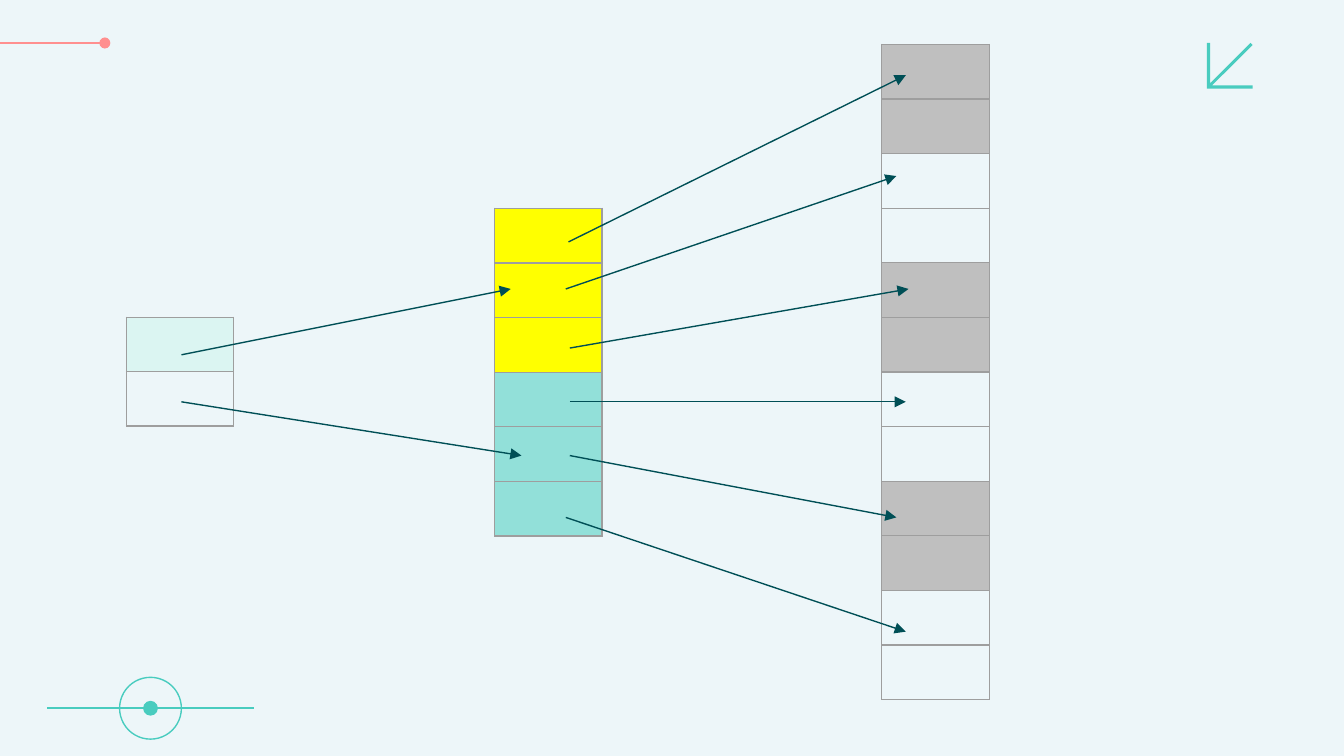
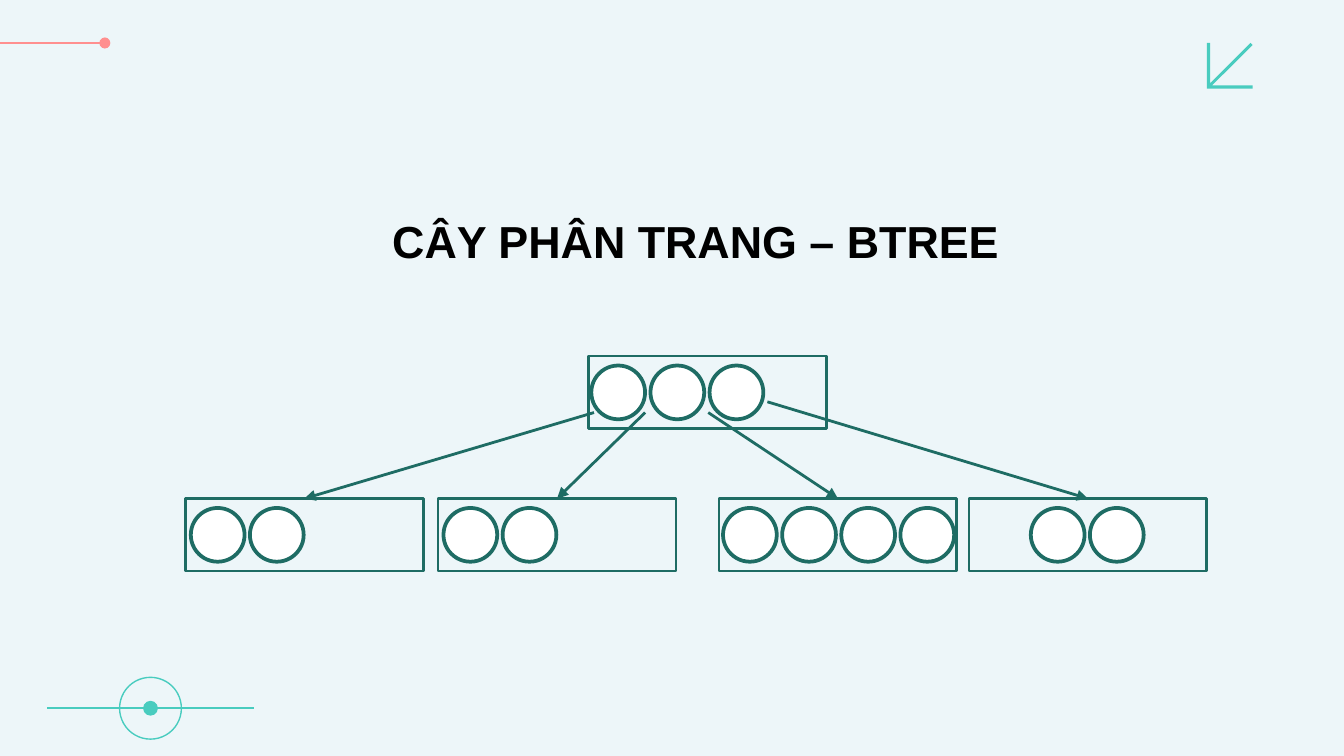
import lxml.etree
import pptx
import pptx.dml.color
import pptx.enum.shapes
import pptx.enum.text
import pptx.oxml.ns
import pptx.util

Inches = pptx.util.Inches
Pt = pptx.util.Pt
SHAPE = pptx.enum.shapes.MSO_SHAPE
STRAIGHT = pptx.enum.shapes.MSO_CONNECTOR.STRAIGHT
qn = pptx.oxml.ns.qn

BACKGROUND = "EDF6F9"
MINT = "49CCBF"
CORAL = "FF8F8F"
GRID = "9E9E9E"
LINK = "004F56"
TREE = "1E6C64"
YELLOW = "FFFF00"
TEAL = "92E0D9"
GREY = "BFBFBF"
PALE = "DBF5F2"
FONT = "Arial"


def rgb(value):
    """Turn a hex string into a colour."""
    return pptx.dml.color.RGBColor.from_string(value)


def paint(shape, fill=None, line=None, width=1):
    """Set the fill and outline of a shape and remove its shadow."""
    shape.shadow.inherit = False
    if fill:
        shape.fill.solid()
        shape.fill.fore_color.rgb = rgb(fill)
    else:
        shape.fill.background()
    if line:
        shape.line.color.rgb = rgb(line)
        shape.line.width = Pt(width)
    else:
        shape.line.fill.background()


def add_shape(shapes, kind, box, fill=None, line=None, width=1):
    """Add a painted preset shape in a box given in inches."""
    sp = shapes.add_shape(kind, *map(Inches, box))
    paint(sp, fill, line, width)
    return sp


def add_line(shapes, start, end, color, width, tip=None):
    """Add a straight connector with an optional end mark."""
    cx = shapes.add_connector(STRAIGHT, *map(Inches, (*start, *end)))
    cx.line.color.rgb = rgb(color)
    cx.line.width = Pt(width)
    if tip:
        ln = cx.line._get_or_add_ln()
        lxml.etree.SubElement(ln, qn("a:tailEnd"), type=tip)
    lxml.etree.SubElement(cx._element.spPr, qn("a:effectLst"))
    return cx


def add_crosshair(s, x, y):
    """Draw the ringed dot on a line, centred on a point."""
    add_line(s.shapes, (x - 0.77, y), (x + 0.77, y), MINT, 0.9)
    for radius, fill in ((0.23, None), (0.05, MINT)):
        box = (x - radius, y - radius, 2 * radius, 2 * radius)
        add_shape(s.shapes, SHAPE.OVAL, box, fill, MINT, 0.75)


def add_corner_arrow(s, x, y):
    """Draw the arrow that points to the lower left."""
    points = [(0, 0), (5, 0), (5, 60), (65, 0), (68, 3),
              (8, 63), (68, 63), (68, 68), (0, 68)]
    builder = s.shapes.build_freeform(*points[0], scale=Inches(0.01) / 2)
    builder.add_line_segments(points[1:], close=True)
    paint(builder.convert_to_shape(Inches(x), Inches(y)), MINT)


def add_decor(s):
    """Add the ornaments that every slide carries."""
    add_crosshair(s, 1.12, 5.27)
    add_line(s.shapes, (0, 0.32), (0.78, 0.32), CORAL, 1.5, "oval")
    add_corner_arrow(s, 8.98, 0.32)


def add_borders(cell):
    """Draw a thin border on all four sides of a cell."""
    tcPr = cell._tc.get_or_add_tcPr()
    for i, side in enumerate(("lnL", "lnR", "lnT", "lnB")):
        ln = lxml.etree.Element(qn("a:" + side), w=str(Pt(0.75)))
        fill = lxml.etree.SubElement(ln, qn("a:solidFill"))
        lxml.etree.SubElement(fill, qn("a:srgbClr"), val=GRID)
        tcPr.insert(i, ln)


def add_stack(s, box, fills):
    """Add a one-column table with one cell per fill."""
    table = s.shapes.add_table(len(fills), 1, *map(Inches, box)).table
    table.first_row = table.horz_banding = False
    for i, fill in enumerate(fills):
        cell = table.cell(i, 0)
        cell.margin_top = cell.margin_bottom = 0
        if fill:
            cell.fill.solid()
            cell.fill.fore_color.rgb = rgb(fill)
        else:
            cell.fill.background()
        add_borders(cell)


def add_page_tables(s):
    """Build three levels of tables and the arrows between them."""
    add_stack(s, (3.68, 1.55, 0.8, 2.44), [YELLOW] * 3 + [TEAL] * 3)
    add_stack(s, (6.56, 0.33, 0.8, 4.88), [GREY, GREY, None, None] * 3)
    add_stack(s, (0.94, 2.36, 0.8, 0.81), [PALE, None])
    links = [
        ((1.35, 2.64), (3.8, 2.15)),
        ((1.35, 2.99), (3.88, 3.39)),
        ((4.23, 1.8), (6.74, 0.56)),
        ((4.21, 2.15), (6.67, 1.31)),
        ((4.24, 2.59), (6.76, 2.15)),
        ((4.24, 2.99), (6.74, 2.99)),
        ((4.24, 3.39), (6.67, 3.85)),
        ((4.21, 3.85), (6.74, 4.7)),
    ]
    for start, end in links:
        add_line(s.shapes, start, end, LINK, 0.75, "triangle")


def add_node(shapes, x, y, keys, indent):
    """Add a tree node with a row of round keys and return its rectangle."""
    node = add_shape(shapes, SHAPE.RECTANGLE, (x, y, 1.77, 0.54),
                     BACKGROUND, TREE, 1.5)
    for i in range(keys):
        box = (x + indent + 0.44 * i, y + 0.07, 0.4, 0.4)
        add_shape(shapes, SHAPE.OVAL, box, "FFFFFF", TREE, 2)
    return node


def add_tree(s, x, y):
    """Build the root, its four leaves and the arrows, from the top left."""
    shapes = s.shapes.add_group_shape().shapes
    add_node(shapes, x + 3, y, 3, 0.02)
    leaves = [
        (0, 2, 0.04, (3.04, 0.42)),
        (1.88, 2, 0.04, (3.42, 0.42)),
        (3.97, 4, 0.03, (3.89, 0.42)),
        (5.83, 2, 0.46, (4.33, 0.34)),
    ]
    for left, keys, indent, (dx, dy) in leaves:
        leaf = add_node(shapes, x + left, y + 1.06, keys, indent)
        cx = add_line(shapes, (x + dx, y + dy), (x + left + 0.88, y + 1.06),
                      TREE, 1.5, "triangle")
        cx.end_connect(leaf, 0)


def add_title(s, box, text):
    """Add the bold title line."""
    tf = s.shapes.add_textbox(*map(Inches, box)).text_frame
    tf.word_wrap = False
    tf.auto_size = pptx.enum.text.MSO_AUTO_SIZE.SHAPE_TO_FIT_TEXT
    tf.text = text
    r = tf.paragraphs[0].runs[0]
    r.font.name = FONT
    r.font.size = Pt(24)
    r.font.bold = True
    r.font.color.rgb = rgb("000000")


def add_slide(prs):
    """Add a blank slide with the shared ornaments."""
    s = prs.slides.add_slide(prs.slide_layouts[6])
    add_decor(s)
    return s


def main():
    """Build and save the two slides."""
    prs = pptx.Presentation()
    prs.slide_width = Inches(10)
    prs.slide_height = prs.slide_width * 9 // 16
    fill = prs.slide_master.background.fill
    fill.solid()
    fill.fore_color.rgb = rgb(BACKGROUND)

    add_page_tables(add_slide(prs))

    s = add_slide(prs)
    add_tree(s, 1.38, 2.65)
    add_title(s, (2.82, 1.54, 4.83, 0.5), "CÂY PHÂN TRANG – BTREE")

    prs.save("out.pptx")


if __name__ == "__main__":
    main()
